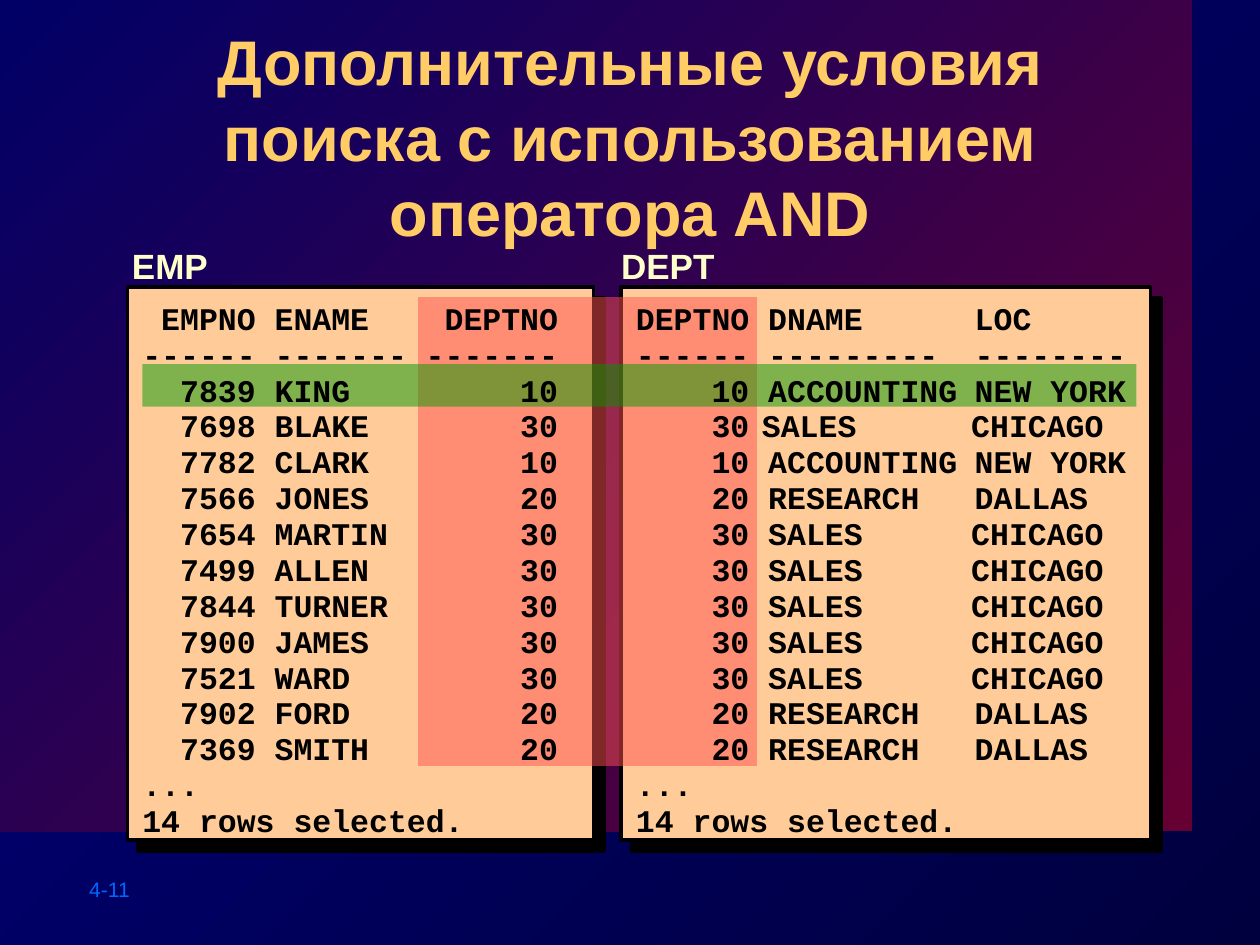
"""Build the slide on extra search conditions with the AND operator."""
from lxml import etree
from pptx import Presentation
from pptx.dml.color import RGBColor
from pptx.enum.shapes import MSO_SHAPE
from pptx.enum.text import MSO_ANCHOR, PP_ALIGN
from pptx.oxml.ns import qn
from pptx.util import Cm, Pt

RECT = MSO_SHAPE.RECTANGLE
TOP = MSO_ANCHOR.TOP
LEFT, CENTER = PP_ALIGN.LEFT, PP_ALIGN.CENTER
SHADOW = {"dist": "107950", "dir": "2700000", "algn": "ctr", "rotWithShape": "0"}


def rgb(value):
    return RGBColor.from_string(value)


def add_shadow(effects):
    shadow = etree.SubElement(effects, qn("a:outerShdw"), SHADOW)
    etree.SubElement(shadow, qn("a:srgbClr"), val="000000")


prs = Presentation()
prs.slide_width, prs.slide_height = Cm(25.4), Cm(19.05)
s = prs.slides.add_slide(prs.slide_layouts[6])

backdrop = s.shapes.add_shape(RECT, 0, 0, Cm(24.03), Cm(16.76))
backdrop.shadow.inherit = False
backdrop.line.fill.background()
for fill, colors in (
    (s.background.fill, ("00003F", "000080")),
    (backdrop.fill, ("660033", "000066")),
):
    fill.gradient()
    fill.gradient_angle = 135
    for stop, color in zip(fill.gradient_stops, colors):
        stop.color.rgb = rgb(color)

panels = [(2.57, 5.79, 9.4, 11.15), (12.52, 5.79, 10.67, 11.15)]
for box in panels:
    sp = s.shapes.add_shape(RECT, *map(Cm, box))
    sp.shadow.inherit = False
    sp.fill.solid()
    sp.fill.fore_color.rgb = rgb("FFCC99")
    sp.line.color.rgb = rgb("000000")
    sp.line.width = Pt(2)
    add_shadow(sp._element.spPr.find(qn("a:effectLst")))

highlights = [
    ((8.43, 5.99, 6.83, 9.45), "FF5050"),
    ((2.87, 7.34, 20.04, 0.86), "009900"),
]
for box, color in highlights:
    sp = s.shapes.add_shape(RECT, *map(Cm, box))
    sp.shadow.inherit = False
    sp.line.fill.background()
    sp.fill.solid()
    sp.fill.fore_color.rgb = rgb(color)
    tint = sp._element.spPr.find(qn("a:solidFill"))[0]
    etree.SubElement(tint, qn("a:alpha"), val="50000")

emp_lines = [
    " EMPNO ENAME\tDEPTNO",
    "------ -------\t-------",
    "  7839 KING\t10",
    "  7698 BLAKE\t30",
    "  7782 CLARK\t10",
    "  7566 JONES\t20",
    "  7654 MARTIN\t30",
    "  7499 ALLEN\t30",
    "  7844 TURNER\t30",
    "  7900 JAMES\t30",
    "  7521 WARD\t30",
    "  7902 FORD\t20",
    "  7369 SMITH\t20",
    "...",
    "14 rows selected.",
]
dept_lines = [
    "DEPTNO DNAME\tLOC",
    "------ ---------\t--------",
    "    10 ACCOUNTING\tNEW YORK",
    "    30\tSALES\tCHICAGO",
    "    10 ACCOUNTING\tNEW YORK",
    "    20 RESEARCH\tDALLAS",
    *["    30 SALES\tCHICAGO"] * 5,
    *["    20 RESEARCH\tDALLAS"] * 2,
    "...",
    "14 rows selected.",
]
title = "Дополнительные условия поиска с использованием оператора AND"

number_font = {"name": "Arial", "size": Pt(12), "bold": False}
title_font = {"name": "Arial", "size": Pt(36), "bold": True}
label_font = {"name": "Arial", "size": Pt(20), "bold": True}
code_font = {"name": "Courier New", "size": Pt(18), "bold": True}

texts = [
    ((1.55, 17.55, 2.82, 0.76), ["4-11"], number_font, "0066FF", 14.4, ()),
    ((2.57, 0.33, 20.27, 2.44), [title], title_font, "FFCC66", 43.2, ()),
    ((2.41, 4.8, 2.24, 1.09), ["EMP"], label_font, "FFFFCC", 24, ()),
    ((12.27, 4.8, 2.59, 1.09), ["DEPT"], label_font, "FFFFCC", 24, ()),
    ((2.62, 5.94, 9.32, 11.06), emp_lines, code_font, "000000", 20.5,
     [(8.38, "r")]),
    ((12.57, 5.94, 10.59, 11.06), dept_lines, code_font, "000000", 20.5,
     [(2.54, "l"), (6.83, "l")]),
]
for box, lines, font, color, spacing, tabs in texts:
    tf = s.shapes.add_textbox(*map(Cm, box)).text_frame
    tf.word_wrap = True
    tf.vertical_anchor = TOP
    for i, line in enumerate(lines):
        p = tf.paragraphs[0] if i == 0 else tf.add_paragraph()
        p.alignment = CENTER if font is title_font else LEFT
        p.line_spacing = Pt(spacing)
        if "\t" in line:
            stops = etree.SubElement(p._p.get_or_add_pPr(), qn("a:tabLst"))
            for pos, align in tabs:
                if pos == 6.83 and "CHICAGO" in line:
                    pos = 6.76
                etree.SubElement(stops, qn("a:tab"), pos=str(Cm(pos)), algn=align)
        r = p.add_run()
        r.text = line
        for key, value in font.items():
            setattr(r.font, key, value)
        r.font.color.rgb = rgb(color)
        if font is title_font:
            effects = etree.Element(qn("a:effectLst"))
            add_shadow(effects)
            r._r.rPr.find(qn("a:solidFill")).addnext(effects)

prs.save("out.pptx")
